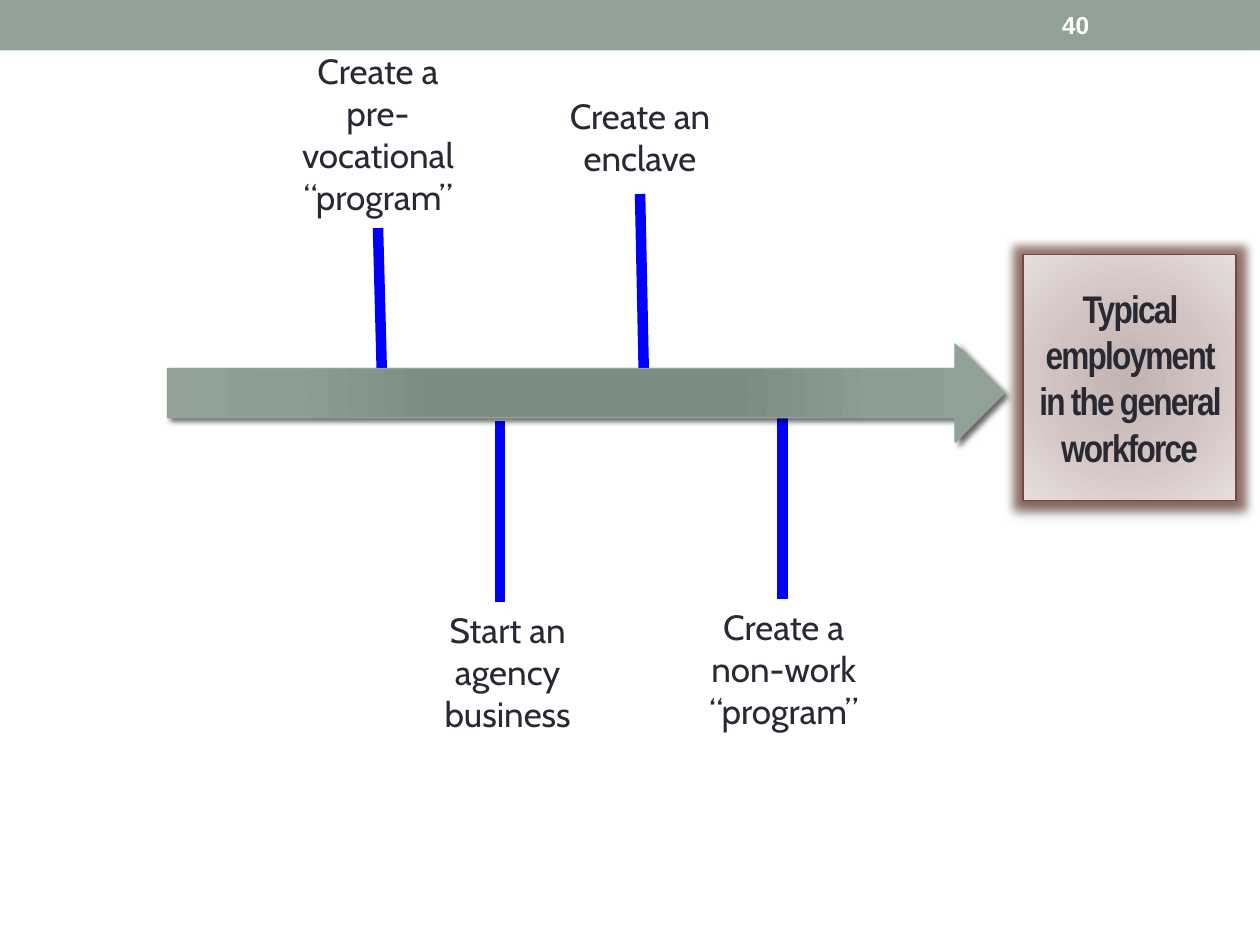
from lxml import etree
from pptx import Presentation
from pptx.dml.color import RGBColor
from pptx.enum.shapes import MSO_CONNECTOR, MSO_SHAPE
from pptx.enum.text import MSO_ANCHOR, MSO_AUTO_SIZE, PP_ALIGN
from pptx.oxml import parse_xml
from pptx.oxml.ns import nsdecls, qn
from pptx.util import Inches, Pt

COLORS = {
    "sage": "93A299", "stem": "0000FF", "ink": "292934", "white": "FFFFFF",
    "goal_line": "79463D", "glow": "79463D", "shadow": "000000",
}
ARROW_STOPS = [(0, "7B8E82"), (34, "7B8D83"), (70, "8A9E92"), (100, "93A299")]
GOAL_STOPS = [(0, "C0B3B1"), (45, "D0C2C0"), (100, "E5DEDD")]


def write(shape, text, size, font, color, align, bold=False, anchor=MSO_ANCHOR.TOP):
    frame = shape.text_frame
    frame.word_wrap = True
    frame.auto_size = MSO_AUTO_SIZE.NONE
    frame.vertical_anchor = anchor
    para = frame.paragraphs[0]
    para.text = text
    para.alignment = align
    for span in para.runs:
        span.font.size = Pt(size)
        span.font.name = font
        span.font.bold = bold
        span.font.color.rgb = RGBColor.from_string(COLORS[color])
    return para


def decorate(shape, stops, line, shadow, glow=None):
    """Radial gradient, thin outline, outer shadow and an optional glow."""
    shape.fill.gradient()
    gradient = shape._element.spPr.find(qn("a:gradFill"))
    for child in list(gradient):
        gradient.remove(child)
    stop_list = etree.SubElement(gradient, qn("a:gsLst"))
    for position, color in stops:
        stop = etree.SubElement(stop_list, qn("a:gs"), pos=str(position * 1000))
        etree.SubElement(stop, qn("a:srgbClr"), val=color)
    radial = etree.SubElement(gradient, qn("a:path"), path="circle")
    etree.SubElement(radial, qn("a:fillToRect"),
                     {side: "100000" for side in "ltrb"})
    shape.line.color.rgb = RGBColor.from_string(COLORS[line])
    shape.line.width = Pt(0.75)
    shape.shadow.inherit = False
    effects = shape._element.spPr.find(qn("a:effectLst"))
    if glow:
        radius, glow_alpha = glow
        effects.append(parse_xml(
            f'<a:glow {nsdecls("a")} rad="{Pt(radius)}"><a:srgbClr val="{COLORS["glow"]}">'
            f'<a:alpha val="{glow_alpha * 1000}"/></a:srgbClr></a:glow>'))
    alpha, blur, distance, angle = shadow
    effects.append(parse_xml(
        f'<a:outerShdw {nsdecls("a")} blurRad="{Pt(blur)}" dist="{Pt(distance)}" '
        f'dir="{angle * 60000}" rotWithShape="0"><a:srgbClr val="{COLORS["shadow"]}">'
        f'<a:alpha val="{alpha * 1000}"/></a:srgbClr></a:outerShdw>'))


deck = Presentation()
deck.slide_width, deck.slide_height = Inches(10), Inches(7.5)
page = deck.slides.add_slide(deck.slide_layouts[5])

# Header band
band = page.shapes.add_shape(MSO_SHAPE.RECTANGLE, 0, 0, Inches(10), Inches(0.4))
band.fill.solid()
band.fill.fore_color.rgb = RGBColor.from_string(COLORS["sage"])
band.line.fill.background()
band.shadow.inherit = False

# Goal box (the title)
goal = page.shapes.title
goal.left, goal.top = Inches(8.12), Inches(2.02)
goal.width, goal.height = Inches(1.69), Inches(1.95)
decorate(goal, GOAL_STOPS, "goal_line", shadow=(43, 5, 2, 90), glow=(10, 60))
goal_para = write(goal, "Typical employment in the general workforce", 22,
                  "Arial Narrow", "ink", PP_ALIGN.CENTER, True, MSO_ANCHOR.MIDDLE)
goal_para.runs[0].font._element.set("spc", "-100")

# Stems: x and y of the outer end, then of the end at the arrow
stems = [
    (3.97, 4.78, 3.97, 3.34),
    (5.08, 1.54, 5.11, 2.98),
    (6.21, 4.75, 6.21, 3.31),
    (3.00, 1.81, 3.03, 2.94),
]
for ends in stems:
    stem = page.shapes.add_connector(MSO_CONNECTOR.STRAIGHT, *map(Inches, ends))
    stem.line.color.rgb = RGBColor.from_string(COLORS["stem"])
    stem.line.width = Pt(6)
    etree.SubElement(stem._element.spPr, qn("a:effectLst"))

# Step labels
labels = [
    ("Start an agency business", 3.26, 4.78, 1.54, 1.11),
    ("Create an enclave", 4.31, 0.70, 1.54, 0.77),
    ("Create a\npre-vocational “program”", 2.10, 0.34, 1.80, 1.45),
    ("Create a non-work “program”", 5.45, 4.76, 1.54, 1.11),
]
for text, *place in labels:
    label = page.shapes.add_textbox(*map(Inches, place))
    write(label, text, 20, "Cabin", "ink", PP_ALIGN.CENTER)

# Page number
number = page.shapes.add_textbox(Inches(8.33), Inches(0.02), Inches(1.17), Inches(0.36))
write(number, "40", 14, "Arial", "white", PP_ALIGN.LEFT, True, MSO_ANCHOR.MIDDLE)

# Timeline arrow
arrow = page.shapes.add_shape(MSO_SHAPE.RIGHT_ARROW, Inches(1.33), Inches(2.73),
                              Inches(6.64), Inches(0.78))
decorate(arrow, ARROW_STOPS, "sage", shadow=(60, 3, 2, 45))

deck.save("out.pptx")
